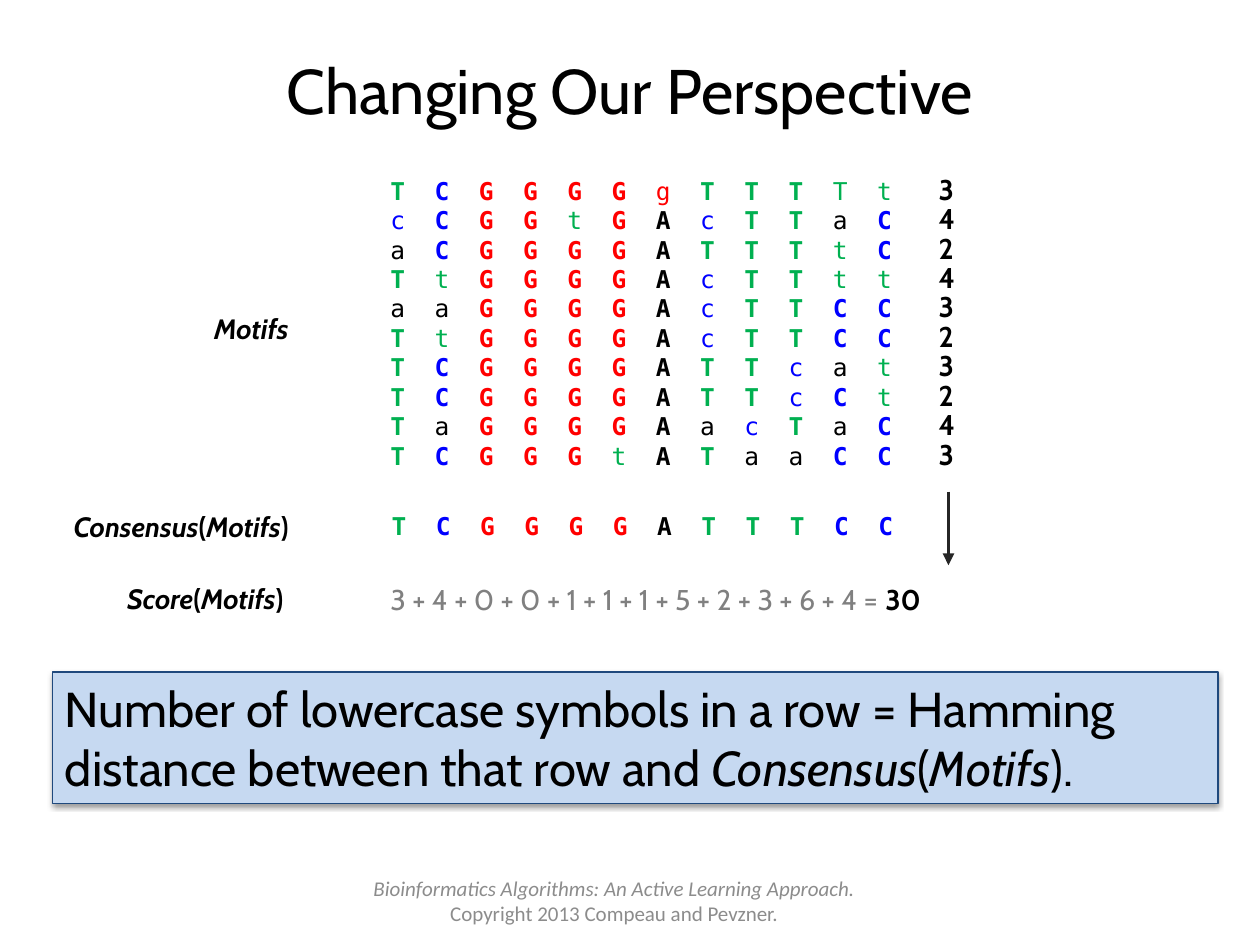
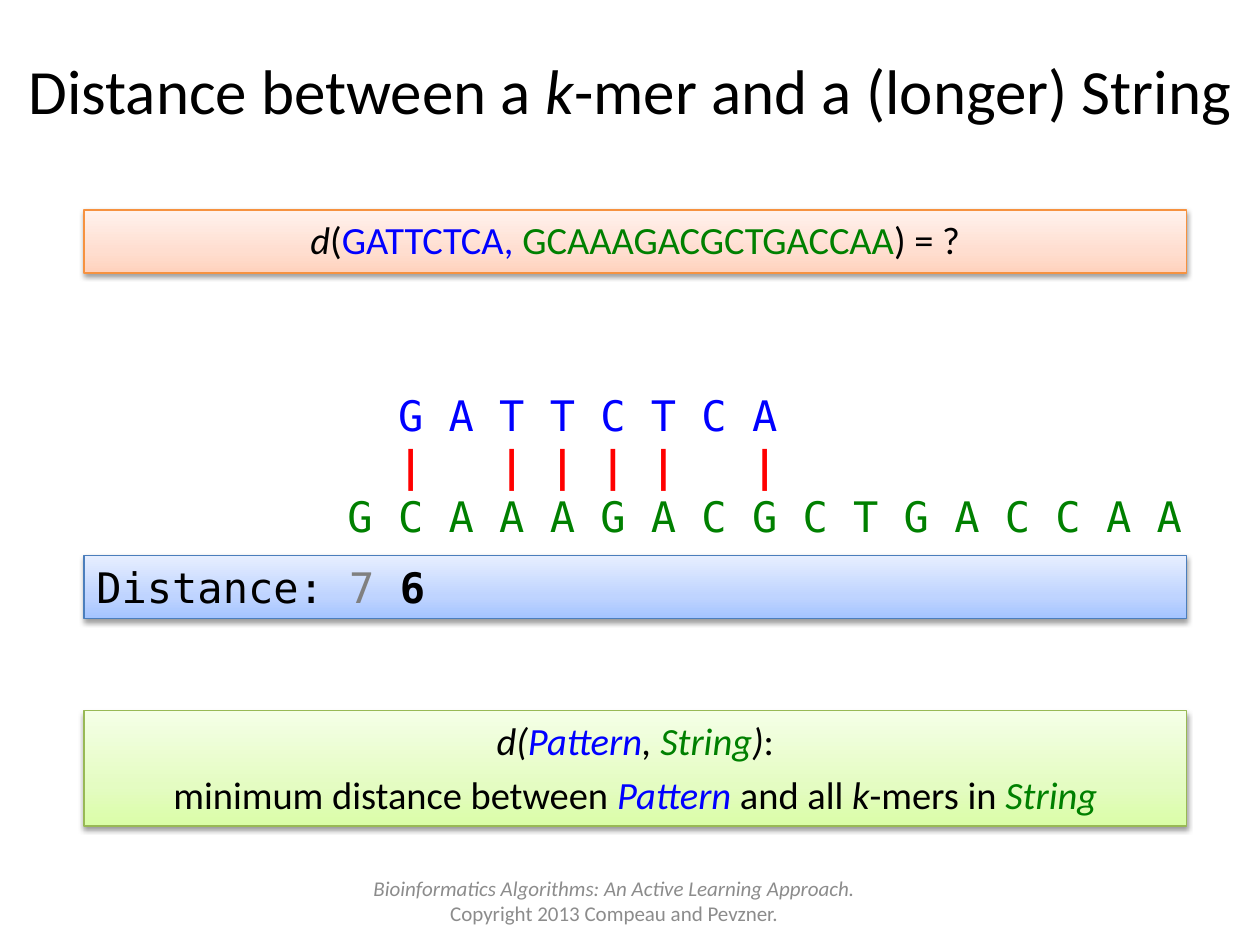
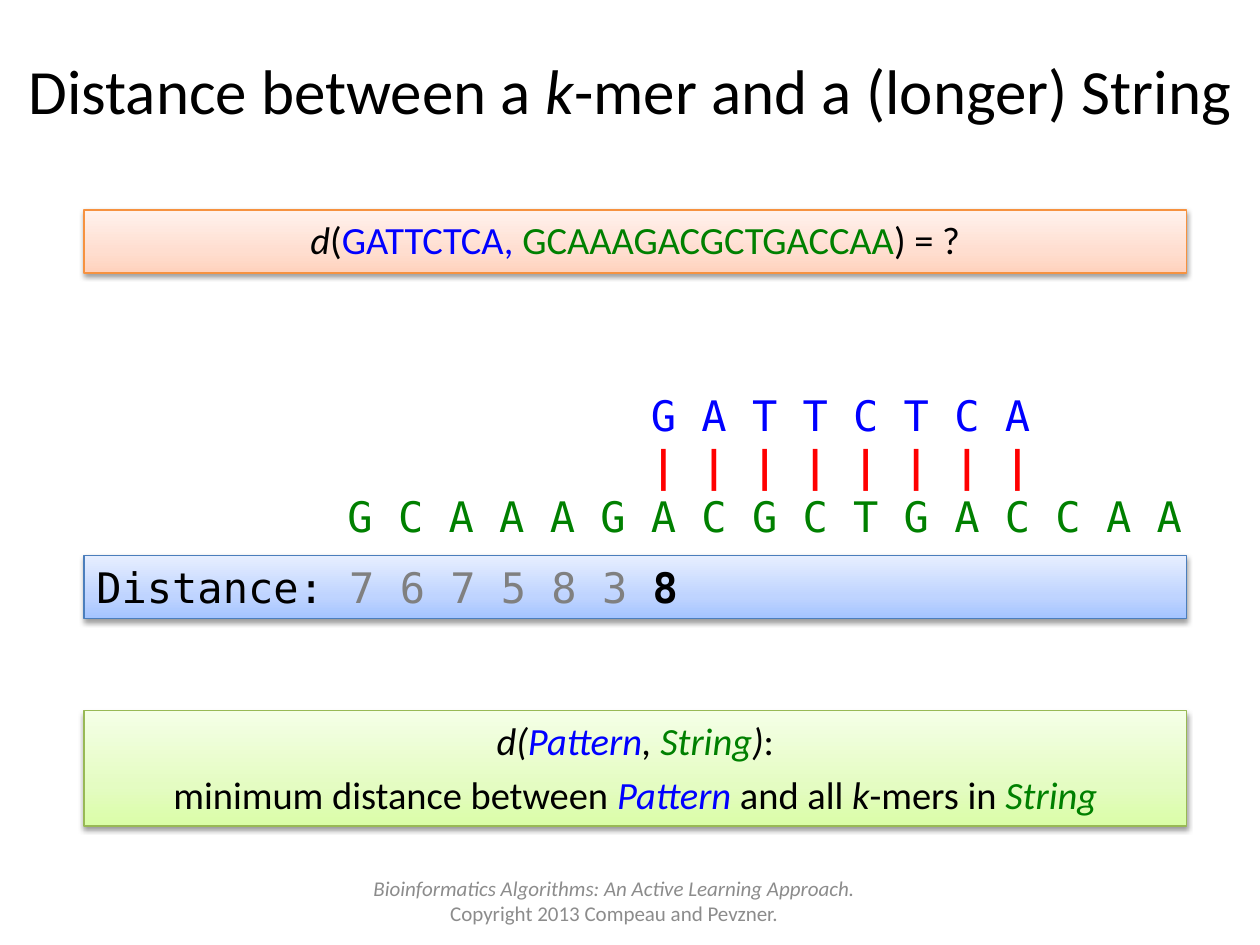
from dataclasses import dataclass

from lxml import etree
from pptx import Presentation
from pptx.dml.color import RGBColor
from pptx.enum import shapes, text
from pptx.oxml.ns import qn
from pptx.util import Pt

LEFT, MID, RIGHT = text.PP_ALIGN.LEFT, text.PP_ALIGN.CENTER, text.PP_ALIGN.RIGHT
TOP, CENTRE = text.MSO_ANCHOR.TOP, text.MSO_ANCHOR.MIDDLE


@dataclass(frozen=True)
class Theme:
    black: str = "000000"
    blue: str = "0000FF"
    red: str = "FF0000"
    green: str = "008000"
    leaf: str = "00B050"
    grey: str = "808080"
    pale: str = "8C8C8C"
    arrow: str = "262626"
    sky: tuple = ("C6D9F1",)
    peach: tuple = ("FFD2BD", "FFDED0", "FFF2ED")
    azure: tuple = ("A4C4FF", "BFD4FF", "E6EEFF")
    lime: tuple = ("DAFDA7", "E4FCC2", "F5FFE7")
    sky_edge: str = "1F497D"
    peach_edge: str = "F69240"
    azure_edge: str = "4B7EBC"
    lime_edge: str = "98B955"
    head: float = 36
    lead: float = 28
    code: float = 24
    body: float = 22
    sum: float = 16.3
    label: float = 16
    base: float = 14
    foot: float = 12
    human: str = "Cabin"
    plain: str = "Calibri"
    mono: str = "DejaVu Sans Mono"


T = Theme()
MONO_EM = 0.602  # width of one fixed-pitch character
BASES = {"a": T.black, "c": T.blue, "g": T.red, "t": T.leaf}

MOTIFS = """TCGGGGgTTTTt cCGGtGAcTTaC aCGGGGATTTtC TtGGGGAcTTtt aaGGGGAcTTCC
TtGGGGAcTTCC TCGGGGATTcat TCGGGGATTcCt TaGGGGAacTaC TCGGGtATaaCC""".split()
CONSENSUS = "TCGGGGATTTCC"
PATTERN, STRING = "GATTCTCA", "GCAAAGACGCTGACCAA"


def add(parent, tag, **attrs):
    return etree.SubElement(parent, qn(tag), {k: str(v) for k, v in attrs.items()})


def differ(one, two):
    return [a != b for a, b in zip(one, two)]


class Deck:
    """Holds the presentation and the slide being drawn.

    A paragraph is a list of runs (text, colour, flags); flags use b and i.
    """

    def __init__(self):
        self.prs = Presentation()
        self.prs.slide_width, self.prs.slide_height = Pt(720), Pt(540)

    def page(self, title, font, box):
        self.slide = self.prs.slides.add_slide(self.prs.slide_layouts[6])
        self.label(box, [title], T.head, font, MID, CENTRE)
        self.label((186, 500.4, 330, 28.8), [
            [("Bioinformatics Algorithms: An Active Learning Approach.", T.pale, "i")],
            [("Copyright 2013 Compeau and Pevzner.", T.pale, "")],
        ], T.foot, T.plain, MID, CENTRE)

    def fill_text(self, shape, paras, size, font, align=LEFT, anchor=TOP,
                  stops=(), **form):
        """Fill a shape with text; form holds paragraph attributes."""
        frame = shape.text_frame
        frame.word_wrap, frame.vertical_anchor = True, anchor
        for n, runs in enumerate(paras):
            para = frame.add_paragraph() if n else frame.paragraphs[0]
            if stops:
                tabs = add(para._p.get_or_add_pPr(), "a:tabLst")
                for stop in stops:
                    add(tabs, "a:tab", pos=int(Pt(stop)), algn="l")
            para.alignment = align
            for key, val in form.items():
                if n or key != "space_before":
                    setattr(para, key, val)
            for words, colour, flags in runs:
                run = para.add_run()
                run.text = words
                look = {"name": font, "size": Pt(size),
                        "bold": "b" in flags, "italic": "i" in flags}
                for key, val in look.items():
                    setattr(run.font, key, val)
                run.font.color.rgb = RGBColor.from_string(colour)

    def label(self, box, *args, **form):
        shape = self.slide.shapes.add_textbox(*map(Pt, box))
        self.fill_text(shape, *args, **form)
        return shape

    def panel(self, box, tints, edge, *args, **form):
        """Draw a shadowed box with one flat tint or three blended ones."""
        shape = self.slide.shapes.add_shape(
            shapes.MSO_SHAPE.RECTANGLE, *map(Pt, box))
        if len(tints) == 1:
            shape.fill.solid()
            shape.fill.fore_color.rgb = RGBColor.from_string(tints[0])
        else:
            shape.fill.gradient()
            shape.fill.gradient_angle = 90
            blend = next(shape._element.spPr.iter(qn("a:gsLst")))
            blend.clear()
            for pos, tint in zip((0, 35000, 100000), tints):
                add(add(blend, "a:gs", pos=pos), "a:srgbClr", val=tint)
        shape.line.color.rgb = RGBColor.from_string(edge)
        shape.line.width = Pt(0.75)
        shape.shadow.inherit = False
        glow = add(shape._element.spPr.find(qn("a:effectLst")), "a:outerShdw",
                   blurRad=int(Pt(3.1)), dist=int(Pt(1.6)), dir=5400000,
                   rotWithShape=0)
        add(add(glow, "a:srgbClr", val=T.black), "a:alpha", val=38000)
        self.fill_text(shape, *args, **form)

    def arrow(self, x1, y1, x2, y2):
        line = self.slide.shapes.add_connector(
            shapes.MSO_CONNECTOR.STRAIGHT, *map(Pt, (x1, y1, x2, y2)))
        line.line.color.rgb = RGBColor.from_string(T.arrow)
        line.line.width = Pt(2.25)
        add(line._element.spPr.find(qn("a:ln")), "a:tailEnd", type="triangle")
        add(line._element.spPr, "a:effectLst")


def bases(row):
    """Colour each base, bold where it agrees with the consensus."""
    return [("\t" * (n > 0) + base, BASES[base.lower()], "" if off else "b")
            for n, (base, off) in enumerate(zip(row, differ(row, CONSENSUS)))]


def motifs(deck):
    deck.page([("Changing Our Perspective", T.black, "")], T.human,
              (36, 6, 648, 90))
    step = 3 * MONO_EM * T.base
    stops = [step * n for n in range(1, len(CONSENSUS))]
    deck.label((216, 96, 312, 177), [bases(row) for row in MOTIFS],
               T.base, T.mono, LEFT, CENTRE, stops)
    deck.label((216.7, 288, 304, 24.5), [bases(CONSENSUS)],
               T.base, T.mono, LEFT, CENTRE, stops)

    name = ("Motifs", T.black, "bi")
    for box, call in (((24, 287.5, 148, 26.6), "Consensus"),
                      ((108, 174.5, 64, 26.6), ""),
                      ((59, 329, 110, 26.6), "Score")):
        runs = [(call, T.black, "bi"), ("(", T.black, "b"), name,
                (")", T.black, "b")] if call else [name]
        deck.label(box, [runs], T.label, T.human, RIGHT)

    grid = [differ(row, CONSENSUS) for row in MOTIFS]
    rows = [sum(row) for row in grid]
    cols = [sum(col) for col in zip(*grid)]
    tally = deck.label((522, 96, 60, 178),
                       [[(str(n), T.black, "b")] for n in rows],
                       T.sum, T.human, LEFT, CENTRE, line_spacing=0.86)
    tally.text_frame.margin_left = Pt(14.4)
    deck.arrow(542, 281, 542, 323)
    deck.panel((30, 384, 666, 75), T.sky, T.sky_edge, [[
        ("Number of lowercase symbols in a row = Hamming distance "
         "between that row and ", T.black, ""),
        ("Consensus", T.black, "i"), ("(", T.black, ""),
        ("Motifs", T.black, "i"), (").", T.black, "")]], T.lead, T.human)
    deck.label((216, 329, 376.5, 27), [[
        (" + ".join(map(str, cols)) + " = ", T.grey, ""),
        (str(sum(cols)), T.black, "b")]], T.sum, T.human)


def distance(deck, shift):
    """Show the pattern moved along the string by shift places."""
    deck.page([("Distance between a ", T.black, ""), ("k", T.black, "i"),
               ("-mer and a (longer) String", T.black, "")], T.plain,
              (0, 6, 720, 90))
    deck.panel((48, 120, 630, 36), T.peach, T.peach_edge, [[
        ("d", T.black, "i"), ("(", T.black, ""), (PATTERN + ", ", T.blue, ""),
        (STRING, T.green, ""), (") = ?", T.black, "")]],
        T.body, T.plain, MID)

    step = 2 * MONO_EM * T.code
    bars = ["|" if off else "" for off in differ(PATTERN, STRING[shift:])]
    lead = "\t" * shift
    deck.label((191.5, 219, 496, 94), [
        [(lead + "\t".join(PATTERN), T.blue, "")],
        [(lead + "\t".join(bars), T.red, "b")],
        [("\t".join(STRING), T.green, "")],
    ], T.code, T.mono, stops=[step * n for n in range(1, len(STRING))])

    *past, now = [str(sum(differ(PATTERN, STRING[n:])))
                  for n in range(shift + 1)]
    deck.panel((48, 317.5, 630, 36), T.azure, T.azure_edge, [[
        ("Distance: ", T.black, ""), (" ".join(past) + " ", T.grey, ""),
        (now, T.black, "b")]], T.code, T.mono)

    deck.panel((48, 406, 630, 66), T.lime, T.lime_edge, [
        [("d(", T.black, "i"), ("Pattern", T.blue, "i"), (", ", T.black, "i"),
         ("String", T.green, "i"), (")", T.black, "i"), (":", T.black, "")],
        [("minimum distance between ", T.black, ""), ("Pattern ", T.blue, "i"),
         ("and all ", T.black, ""), ("k", T.black, "i"),
         ("-mers in ", T.black, ""), ("String", T.green, "i")],
    ], T.body, T.plain, MID, space_before=Pt(4.4))


def main():
    deck = Deck()
    motifs(deck)
    for shift in (1, 6):
        distance(deck, shift)
    deck.prs.save("out.pptx")


if __name__ == "__main__":
    main()
